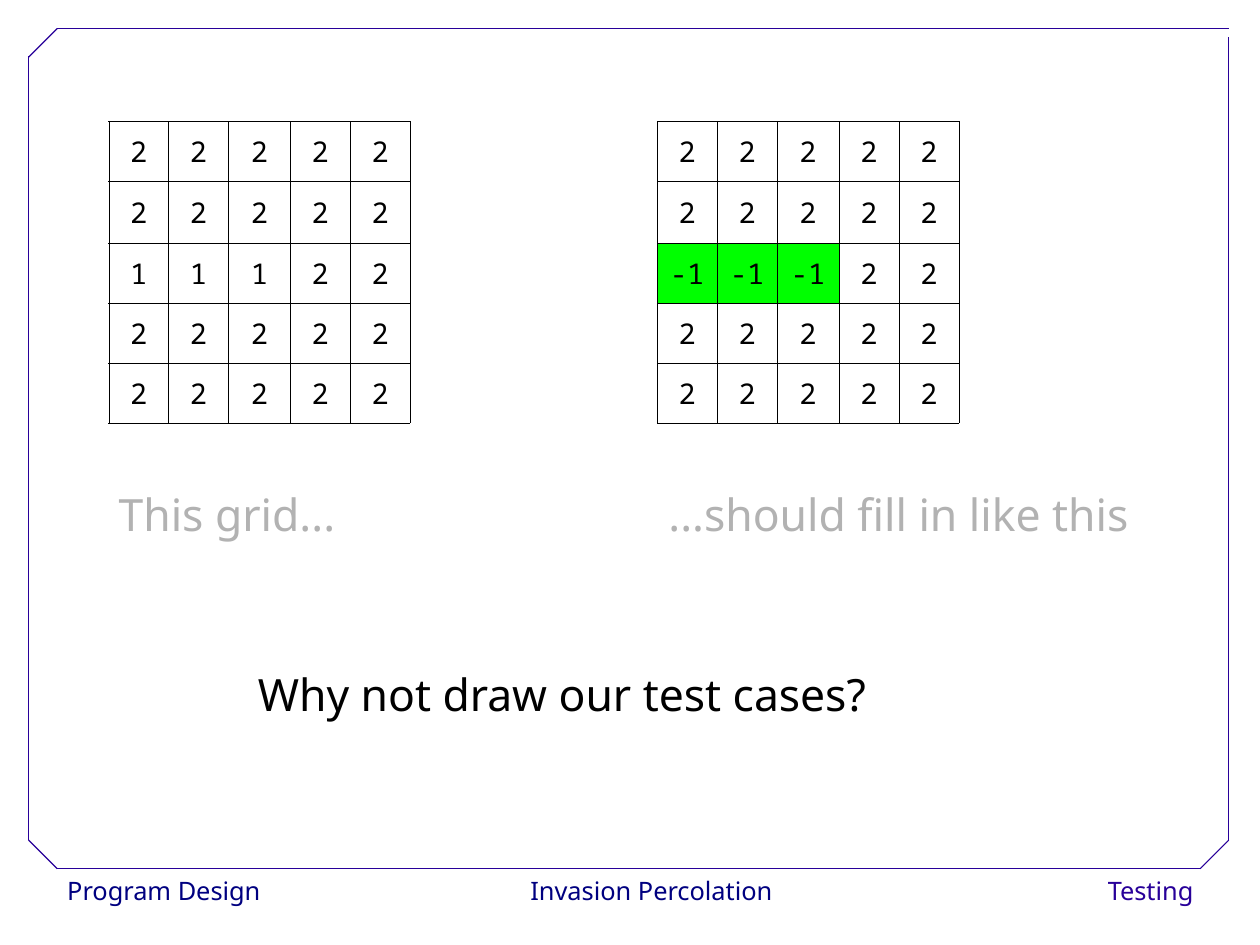
from lxml import etree
from pptx import Presentation, util as u
from pptx.dml.color import RGBColor
from pptx.enum import shapes, text
from pptx.oxml import ns

THEME = {
    "frame": RGBColor.from_string("280099"),
    "footer": RGBColor.from_string("000080"),
    "caption": RGBColor.from_string("B2B2B2"),
    "ink": RGBColor.from_string("000000"),
    "paper": RGBColor.from_string("FFFFFF"),
    "filled": RGBColor.from_string("00FF00"),
    "sans": "Noto Sans",
    "mono": "Noto Sans Mono",
    "footer_size": u.Pt(16),
    "cell_size": u.Pt(18),
    "text_size": u.Pt(28),
    "frame_width": u.Pt(0.75),
    "grid_width": u.Pt(0.06),
}
LEFT, CENTER, RIGHT = text.PP_ALIGN.LEFT, text.PP_ALIGN.CENTER, text.PP_ALIGN.RIGHT


def write(frame, words, align, spacing, size, color, font="sans"):
    para = frame.paragraphs[0]
    para.alignment, para.line_spacing = align, spacing
    span = para.add_run()
    span.text = words
    looks = {"name": THEME[font], "size": THEME[size], "bold": False}
    for key, value in looks.items():
        setattr(span.font, key, value)
    span.font.color.rgb = THEME[color]


def add_border(cell):
    for side in ("lnL", "lnR", "lnT", "lnB"):
        line = etree.SubElement(cell._tc.get_or_add_tcPr(), ns.qn(f"a:{side}"),
                                w=str(THEME["grid_width"]))
        fill = etree.SubElement(line, ns.qn("a:solidFill"))
        etree.SubElement(fill, ns.qn("a:srgbClr"), val=str(THEME["ink"]))


# A 28 by 21 cm page
deck = Presentation()
deck.slide_width, deck.slide_height = u.Inches(28 / 2.54), u.Inches(21 / 2.54)
page = deck.slides.add_slide(deck.slide_layouts[5])

# Footer labels
for words, left, width, align, color in (
    ("Program Design", 0.49, 1.8, LEFT, "footer"),
    ("Invasion Percolation", 4.58, 2.24, CENTER, "footer"),
    ("Testing", 9.14, 1.4, RIGHT, "frame"),
):
    box = page.shapes.add_shape(shapes.MSO_SHAPE.RECTANGLE, u.Inches(left),
                                u.Inches(7.6), u.Inches(width), u.Inches(0.4))
    box.shadow.inherit = False
    box.fill.solid()
    box.fill.fore_color.rgb = THEME["paper"]
    box.line.fill.background()
    box.text_frame.word_wrap = False
    box.text_frame.vertical_anchor = text.MSO_ANCHOR.TOP
    write(box.text_frame, words, align, 1.02, "footer_size", color)

# Frame with cut corners
for ends in (
    (0.5, 7.6, 10.5, 7.6),
    (0.25, 7.35, 0.25, 0.49),
    (0.5, 0.25, 10.75, 0.25),
    (10.75, 7.35, 10.75, 0.32),
    (0.25, 0.5, 0.5, 0.25),
    (10.5, 7.6, 10.75, 7.35),
    (0.25, 7.35, 0.5, 7.6),
):
    edge = page.shapes.add_connector(shapes.MSO_CONNECTOR.STRAIGHT,
                                     *(u.Inches(end) for end in ends))
    edge.line.color.rgb = THEME["frame"]
    edge.line.width = THEME["frame_width"]
    etree.SubElement(edge._element.spPr, ns.qn("a:effectLst"))

# Grids before and after filling, each with its caption
grid_side, wide = 2.64, 0.54
narrow = (grid_side - wide) / 4
column_widths = (narrow, narrow, wide, narrow, narrow)
row_heights = (narrow, wide, narrow, narrow, narrow)
plain_row = ["2"] * 5
for left, caption_left, middle_row, caption in (
    (0.95, 0.94, ["1"] * 3 + ["2"] * 2, "This grid..."),
    (5.75, 5.75, ["-1"] * 3 + ["2"] * 2, "...should fill in like this"),
):
    rows = [plain_row, plain_row, middle_row, plain_row, plain_row]
    grid = page.shapes.add_table(5, 5, u.Inches(left), u.Inches(1.06),
                                 u.Inches(grid_side), u.Inches(grid_side)).table
    grid.first_row = grid.horz_banding = False
    for column, width in zip(grid.columns, column_widths):
        column.width = u.Inches(width)
    for row, height, values in zip(grid.rows, row_heights, rows):
        row.height = u.Inches(height)
        for cell, value in zip(row.cells, values):
            cell.vertical_anchor = text.MSO_ANCHOR.MIDDLE
            cell.margin_left = cell.margin_right = u.Inches(0.1)
            cell.margin_top = cell.margin_bottom = u.Inches(0.05)
            add_border(cell)
            if value == "-1":
                cell.fill.solid()
                cell.fill.fore_color.rgb = THEME["filled"]
            else:
                cell.fill.background()
            write(cell.text_frame, value, CENTER, 1.02, "cell_size", "ink", "mono")

    box = page.shapes.add_textbox(u.Inches(caption_left), u.Inches(3.98),
                                  u.Inches(4.86), u.Inches(0.8))
    box.text_frame.word_wrap = True
    box.text_frame.auto_size = text.MSO_AUTO_SIZE.SHAPE_TO_FIT_TEXT
    write(box.text_frame, caption, LEFT, 1.5, "text_size", "caption")

# Question
question = page.shapes.title
place = {"left": 2.13, "top": 5.55, "width": 5.57, "height": 0.8}
for key, value in place.items():
    setattr(question, key, u.Inches(value))
layout = {"word_wrap": True, "vertical_anchor": text.MSO_ANCHOR.TOP,
          "auto_size": text.MSO_AUTO_SIZE.SHAPE_TO_FIT_TEXT}
for key, value in layout.items():
    setattr(question.text_frame, key, value)
write(question.text_frame, "Why not draw our test cases?", CENTER, 1.5,
      "text_size", "ink")

deck.save("out.pptx")
